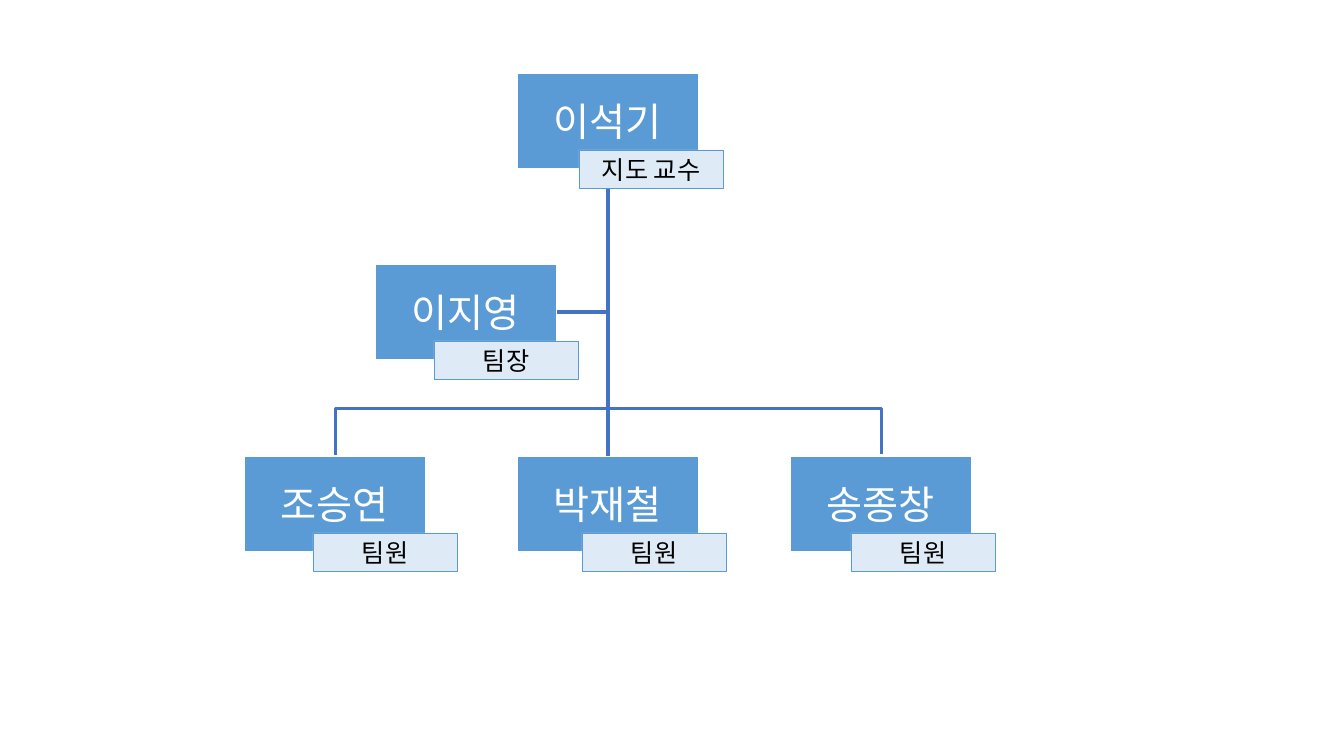
"""Build a team organisation chart with name cards, role tags and connectors."""
from lxml import etree
from pptx import Presentation
from pptx.dml.color import RGBColor
from pptx.enum.shapes import MSO_CONNECTOR, MSO_SHAPE
from pptx.enum.text import MSO_ANCHOR, PP_ALIGN
from pptx.oxml.ns import qn
from pptx.util import Pt

RECT = MSO_SHAPE.RECTANGLE
STRAIGHT, ELBOW = MSO_CONNECTOR.STRAIGHT, MSO_CONNECTOR.ELBOW
CENTER, MIDDLE = PP_ALIGN.CENTER, MSO_ANCHOR.MIDDLE
PX = 914400 / 100.8

THEME = {
    "font": "Noto Sans CJK KR",
    "link": "4472C4",
    "link_width": 2.25,
    "card": {"size": (182, 96), "fill": "5B9BD5", "line": "FFFFFF",
             "width": 1.5, "text": "FFFFFF", "pt": 28},
    "tag": {"size": (144, 38), "fill": "DEEBF7", "line": "5B9BD5",
            "width": 0.5, "text": "000000", "pt": 18},
}


def add_box(x, y, text, style):
    """Add a rectangle with centred text in the given style."""
    w, h = style["size"]
    s = slide.shapes.add_shape(RECT, *(round(v * PX) for v in (x, y, w, h)))
    s.shadow.inherit = False
    s.fill.solid()
    s.fill.fore_color.rgb = RGBColor.from_string(style["fill"])
    s.line.color.rgb = RGBColor.from_string(style["line"])
    s.line.width = Pt(style["width"])
    tf = s.text_frame
    frame = {"word_wrap": True, "vertical_anchor": MIDDLE, "margin_left": 0,
             "margin_right": 0, "margin_top": 0, "margin_bottom": 0}
    for name, value in frame.items():
        setattr(tf, name, value)
    p = tf.paragraphs[0]
    p.alignment = CENTER
    r = p.add_run()
    r.text = text
    r.font.name = THEME["font"]
    r.font.size = Pt(style["pt"])
    r.font.color.rgb = RGBColor.from_string(style["text"])
    etree.SubElement(r.font._element, qn("a:ea"), typeface=THEME["font"])


def add_link(kind, *ends):
    """Add a connector between two points and return its shape properties."""
    c = slide.shapes.add_connector(kind, *(round(v * PX) for v in ends))
    c.line.color.rgb = RGBColor.from_string(THEME["link"])
    c.line.width = Pt(THEME["link_width"])
    sp_pr = c._element.spPr
    etree.SubElement(sp_pr, qn("a:effectLst"))
    return sp_pr


prs = Presentation()
prs.slide_width, prs.slide_height = round(1344 * PX), round(756 * PX)
slide = prs.slides.add_slide(prs.slide_layouts[6])

MEMBER_Y, MEMBER_STEP, TRUNK_X = 456, 273, 608
people = [
    (517, 73, "이석기", 579, "지도 교수"),
    (517, MEMBER_Y, "박재철", 582, "팀원"),
    (375, 264, "이지영", 434, "팀장"),
    (517 - MEMBER_STEP, MEMBER_Y, "조승연", 313, "팀원"),
    (517 + MEMBER_STEP, MEMBER_Y, "송종창", 851, "팀원"),
]

for x, y, name, tag_x, role in people:
    add_box(x, y, name, THEME["card"])

add_link(STRAIGHT, TRUNK_X, 169, TRUNK_X, MEMBER_Y)

bracket = add_link(ELBOW, TRUNK_X + 1, MEMBER_Y - 1 + MEMBER_STEP,
                   TRUNK_X, MEMBER_Y - 1 - MEMBER_STEP)
bracket.find(qn("a:xfrm")).set("rot", str(90 * 60000))
guides = bracket.find(qn("a:prstGeom")).find(qn("a:avLst"))
BRACKET_RISE = 47
etree.SubElement(guides, qn("a:gd"), name="adj1",
                 fmla=f"val {BRACKET_RISE * 100000}")

for x, y, name, tag_x, role in people:
    add_box(tag_x, y + 77, role, THEME["tag"])

leader = add_link(ELBOW, 557, 312, TRUNK_X, MEMBER_Y - 1)
leader.find(qn("a:prstGeom")).set("prst", "bentConnector2")

prs.save("out.pptx")
